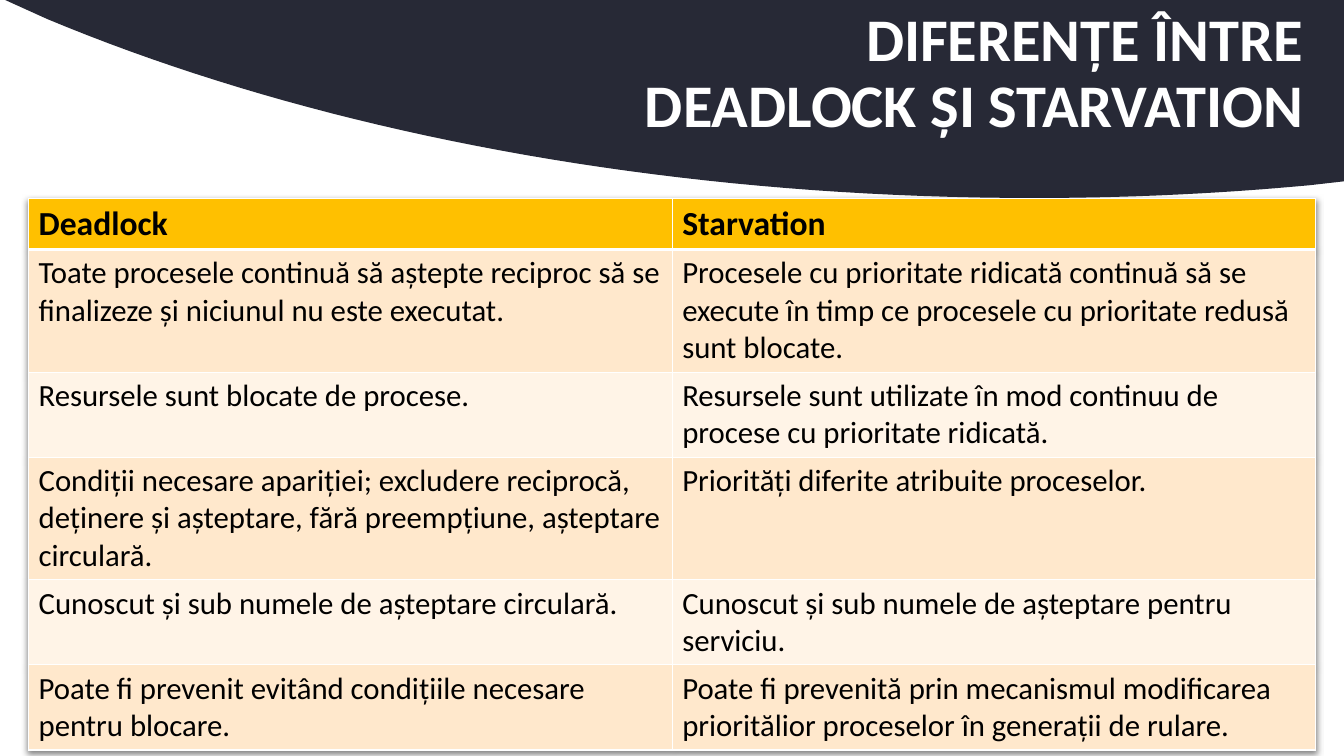
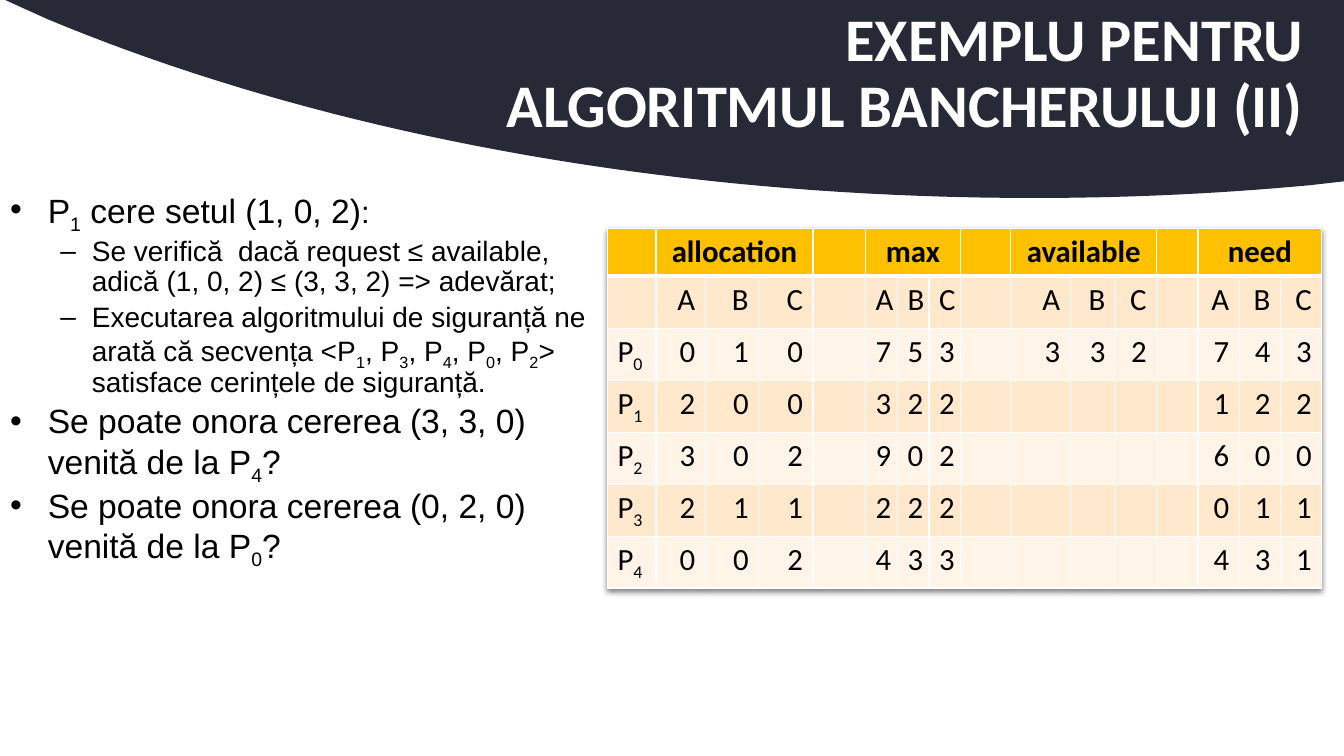
from dataclasses import dataclass

from lxml import etree
from pptx import Presentation
from pptx.dml.color import RGBColor
from pptx.enum.text import MSO_ANCHOR, MSO_AUTO_SIZE, PP_ALIGN
from pptx.oxml.ns import qn
from pptx.slide import Slide
from pptx.table import _Cell as Cell
from pptx.text.text import _Paragraph as Par
from pptx.util import Cm, Pt

LEFT, MID, RIGHT = PP_ALIGN.LEFT, PP_ALIGN.CENTER, PP_ALIGN.RIGHT
CENTRE = MSO_ANCHOR.MIDDLE
NO_FIT = MSO_AUTO_SIZE.NONE

HUES = {
    "band": "272936",
    "head": "FFC000",
    "odd": "FFE8CC",
    "even": "FFF4E7",
    "white": "FFFFFF",
    "black": "000000",
}
WIDTH, HEIGHT = 33.87, 19.05


@dataclass
class Grid:
    left: float
    top: float
    cols: list[float]
    rows: list[float]
    cells: list[list[str]]
    head_size: float
    head_align: PP_ALIGN = LEFT
    data_align: PP_ALIGN = LEFT
    spans: tuple[int, ...] = ()


@dataclass
class Level:
    mark: str
    size: float
    indent: float
    hang: float


@dataclass
class Point:
    level: int
    text: str
    tail: str = ""


LEVELS = [Level("•", 24, 0.95, 0.95), Level("–", 20, 2.06, 0.79)]

POINTS = [
    Point(0, "P~1~ cere setul (1, 0, 2)", ":"),
    Point(1, "Se verifică  dacă request ≤ available, adică (1, 0, 2) ≤ (3, 3, 2) => adevărat;"),
    Point(1, "Executarea algoritmului de siguranță ne arată că secvența "
             "<P~1~, P~3~, P~4~, P~0~, P~2~> satisface cerințele de siguranță."),
    Point(0, "Se poate onora cererea (3, 3, 0) venită de la P~4~?"),
    Point(0, "Se poate onora cererea (0, 2, 0) venită de la P~0~?"),
]

PAIRS = [
    ["Deadlock", "Starvation"],
    ["Toate procesele continuă să aștepte reciproc să se finalizeze și niciunul nu este executat.",
     "Procesele cu prioritate ridicată continuă să se execute în timp ce procesele cu "
     "prioritate redusă sunt blocate."],
    ["Resursele sunt blocate de procese.",
     "Resursele sunt utilizate în mod continuu de procese cu prioritate ridicată."],
    ["Condiții necesare apariției; excludere reciprocă, deținere și așteptare, "
     "fără preempțiune, așteptare circulară.",
     "Priorități diferite atribuite proceselor."],
    ["Cunoscut și sub numele de așteptare circulară.",
     "Cunoscut și sub numele de așteptare pentru serviciu."],
    ["Poate fi prevenit evitând condițiile necesare pentru blocare.",
     "Poate fi prevenită prin mecanismul modificarea prioritălior proceselor în generații de rulare."],
]

# Three values each for allocation, max, available and need
STATE = [
    ("", ["ABC", "ABC", "ABC", "ABC"]),
    ("P~0~", ["010", "753", "332", "743"]),
    ("P~1~", ["200", "322", "", "122"]),
    ("P~2~", ["302", "902", "", "600"]),
    ("P~3~", ["211", "222", "", "011"]),
    ("P~4~", ["002", "433", "", "431"]),
]
GROUPS = ["allocation", "max", "available", "need"]


def paint(name: str) -> RGBColor:
    return RGBColor.from_string(HUES[name])


def put(par: Par, text: str, *, size: float, font: str = "Calibri",
        hue: str = "black", bold: bool = False) -> None:
    """Append text; parts between tildes are subscripts, \\v breaks the line."""
    for pos, part in enumerate(text.split("~")):
        for num, line in enumerate(part.split("\v")):
            if num:
                par.add_line_break()
            if not line:
                continue
            run = par.add_run()
            run.text = line
            run.font.size = Pt(size)
            run.font.name = font
            run.font.bold = bold
            run.font.color.rgb = paint(hue)
            if pos % 2:
                run._r.get_or_add_rPr().set("baseline", "-25000")


def curve(a: tuple, b: tuple, c: tuple, d: tuple, steps: int = 40) -> list[tuple]:
    """Points on a cubic Bezier, its start left out."""
    spots = []
    for step in range(1, steps + 1):
        t = step / steps
        u = 1 - t
        spots.append(tuple(u**3 * p + 3 * u * u * t * q + 3 * u * t * t * r + t**3 * s
                           for p, q, r, s in zip(a, b, c, d)))
    return spots


def add_band(slide: Slide) -> None:
    """Draw the dark band behind everything else."""
    edge, low, end = (32.99, 4.67), (26.06, 4.99), (1.19, 0.48)
    spots = [(WIDTH, 0), (WIDTH, 4.57), edge]
    spots += curve(edge, (30.73, 4.88), (28.42, 4.99), low)
    spots += curve(low, (16.61, 4.99), (7.95, 3.3), end)
    pen = slide.shapes.build_freeform(Cm(0.13), 0)
    pen.add_line_segments([(Cm(x), Cm(y)) for x, y in spots])
    band = pen.convert_to_shape()
    band.shadow.inherit = False
    band.fill.solid()
    band.fill.fore_color.rgb = paint("band")
    band.line.fill.background()
    slide.shapes.element.insert(2, band.element)


def place(shape, left: float, top: float, width: float, height: float) -> None:
    shape.left, shape.top = Cm(left), Cm(top)
    shape.width, shape.height = Cm(width), Cm(height)


def set_title(slide: Slide, text: str) -> None:
    add_band(slide)
    title = slide.shapes.title
    place(title, 2.34, 0.05, 31.53, 3.68)
    frame = title.text_frame
    frame.auto_size = NO_FIT
    frame.vertical_anchor = CENTRE
    frame.margin_right = Cm(1.02)
    par = frame.paragraphs[0]
    par.alignment = RIGHT
    par.line_spacing = 0.9
    put(par, text, size=43.2, hue="white", bold=True)


def add_list(slide: Slide, points: list[Point]) -> None:
    body = slide.placeholders[1]
    place(body, 0, 4.67, 15.29, 13.97)
    frame = body.text_frame
    frame.auto_size = NO_FIT
    for num, point in enumerate(points):
        par = frame.add_paragraph() if num else frame.paragraphs[0]
        level = LEVELS[point.level]
        par.level = point.level
        props = par._p.get_or_add_pPr()
        props.set("marL", str(Cm(level.indent)))
        props.set("indent", str(-Cm(level.hang)))
        etree.SubElement(props, qn("a:buChar")).set("char", level.mark)
        par.line_spacing = 0.9
        par.space_before = Pt(level.size * 0.2 if num else 0)
        put(par, point.text, size=level.size, font="Arial")
        put(par, point.tail, size=22, font="Arial")


def set_edges(cell: Cell, head: bool, below: bool) -> None:
    """White rules, thick between the header and the first row."""
    props = cell._tc.get_or_add_tcPr()
    thick = {"lnB": head, "lnT": below}
    for pos, side in enumerate(("lnL", "lnR", "lnT", "lnB")):
        line = etree.Element(qn(f"a:{side}"), w=str(Pt(3 if thick.get(side) else 1)))
        fill = etree.SubElement(line, qn("a:solidFill"))
        etree.SubElement(fill, qn("a:srgbClr")).set("val", HUES["white"])
        props.insert(pos, line)


def add_shade(props) -> None:
    """Soft shadow below a table."""
    effects = etree.Element(qn("a:effectLst"))
    shade = etree.SubElement(effects, qn("a:outerShdw"), blurRad=str(Pt(4)),
                             dist=str(Pt(2)), dir="5400000", rotWithShape="0")
    tint = etree.SubElement(shade, qn("a:srgbClr"), val=HUES["black"])
    etree.SubElement(tint, qn("a:alpha"), val="50000")
    props.insert(0, effects)


def add_grid(slide: Slide, grid: Grid) -> None:
    frame = slide.shapes.add_table(len(grid.rows), len(grid.cols), Cm(grid.left), Cm(grid.top),
                                   Cm(sum(grid.cols)), Cm(sum(grid.rows)))
    table = frame.table
    add_shade(table._tbl.tblPr)
    for col, width in zip(table.columns, grid.cols):
        col.width = Cm(width)
    for row, height in zip(table.rows, grid.rows):
        row.height = Cm(height)
    for y, texts in enumerate(grid.cells):
        head = y == 0
        tone = "head" if head else "odd" if y % 2 else "even"
        for x, text in enumerate(texts):
            cell = table.cell(y, x)
            cell.fill.solid()
            cell.fill.fore_color.rgb = paint(tone)
            set_edges(cell, head, y == 1)
            par = cell.text_frame.paragraphs[0]
            par.alignment = grid.head_align if head else grid.data_align if x else LEFT
            put(par, text, size=grid.head_size if head else 22, bold=head)
    for x in grid.spans:
        table.cell(0, x).merge(table.cell(0, x + 2))


def spread(name: str, groups: list[list[str]]) -> list[str]:
    """One row: its name, then the groups with an empty cell between them."""
    row = []
    for num, group in enumerate(groups):
        row += ["" if num else name, *group]
    return row


def main() -> None:
    deck = Presentation()
    deck.slide_width, deck.slide_height = Cm(WIDTH), Cm(HEIGHT)

    slide = deck.slides.add_slide(deck.slide_layouts[5])
    set_title(slide, "DIFERENȚE ÎNTRE\vDEADLOCK ȘI STARVATION")
    add_grid(slide, Grid(0.72, 5, [16.22] * 2, [1.24, 3.09, 2.13, 3.09, 2.13, 2.13], PAIRS, 24))

    slide = deck.slides.add_slide(deck.slide_layouts[1])
    set_title(slide, "EXEMPLU PENTRU\vALGORITMUL BANCHERULUI (II)")
    add_list(slide, POINTS)
    cells = [spread("", [[name, "", ""] for name in GROUPS])]
    cells += [spread(name, [list(part) or [""] * 3 for part in parts]) for name, parts in STATE]
    cols = [1.22, 1.24, 1.35, 1.37, 1.32, 0.81, 0.79, 0.79, 1.27, 1.5, 1.14] + [1.04] * 5
    add_grid(slide, Grid(15.31, 5.76, cols, [1.18] + [1.31] * 6, cells, 22, MID, RIGHT,
                         (1, 5, 9, 13)))
    deck.save("out.pptx")


if __name__ == "__main__":
    main()
